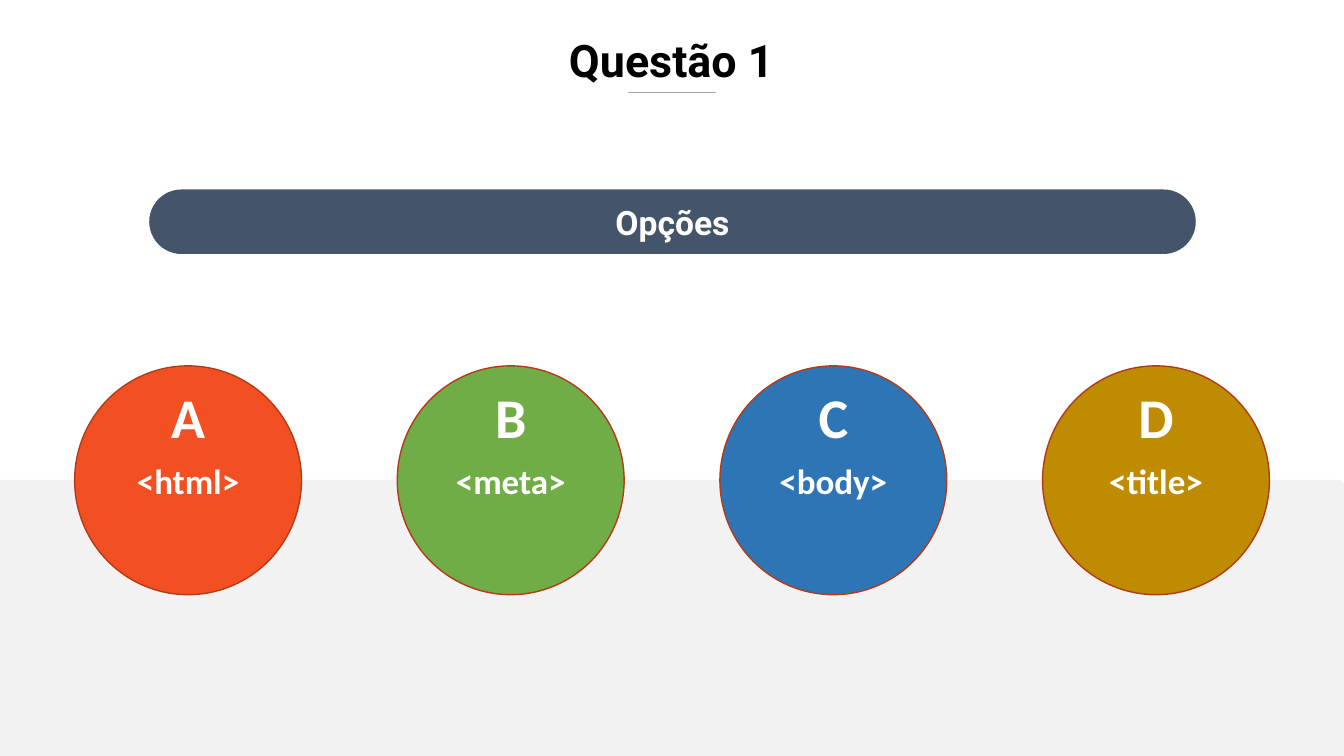
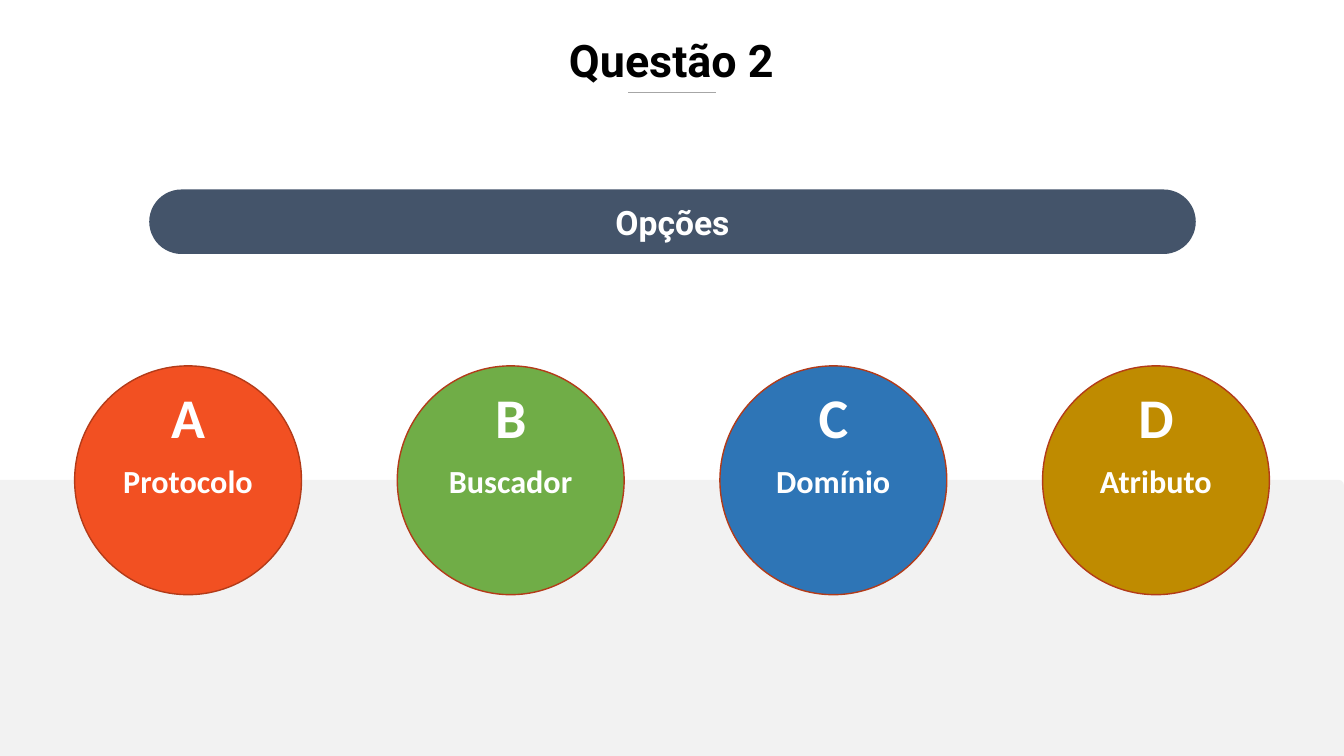
from lxml.etree import SubElement
from pptx import Presentation
from pptx.dml.color import RGBColor
from pptx.enum.shapes import MSO_CONNECTOR as Connector, MSO_SHAPE as Shape
from pptx.enum.text import MSO_ANCHOR as Anchor, PP_ALIGN as Align
from pptx.oxml.ns import qn
from pptx.util import Pt

EMU_PER_PX = 9144
SLIDE_WIDTH, SLIDE_HEIGHT = 1333, 750

BLACK = RGBColor(0x00, 0x00, 0x00)
WHITE = RGBColor(0xFF, 0xFF, 0xFF)
PANEL_GREY = RGBColor(0xF2, 0xF2, 0xF2)
RULE_GREY = RGBColor(0xA6, 0xA6, 0xA6)
SLATE = RGBColor(0x44, 0x54, 0x6A)
RUST = RGBColor(0xB3, 0x3B, 0x19)
ORANGE = RGBColor(0xF2, 0x50, 0x22)
GREEN = RGBColor(0x70, 0xAD, 0x47)
BLUE = RGBColor(0x2E, 0x75, 0xB6)
GOLD = RGBColor(0xBF, 0x8B, 0x00)

TITLE_FONT = {"name": "Roboto", "size": Pt(32), "bold": True}
BANNER_FONT = {"name": "Roboto", "size": Pt(24), "bold": True}
LETTER_FONT = {"name": "Calibri", "size": Pt(40), "bold": True}
ANSWER_FONT = {"name": "Calibri", "bold": True}

CHOICES = [("A", ORANGE), ("B", GREEN), ("C", BLUE), ("D", GOLD)]
CIRCLE_LEFT, CIRCLE_TOP, CIRCLE_PITCH = 74, 363, 320
CIRCLE_WIDTH, CIRCLE_HEIGHT = 225, 227

QUESTIONS = [
    ("Questão 1", ["<html>", "<meta>", "<body>", "<title>"], 25),
    ("Questão 2", ["Protocolo", "Buscador", "Domínio", "Atributo"], 23),
]


def px(*lengths):
    return [length * EMU_PER_PX for length in lengths]


def write(shape, text, font, color, anchor=Anchor.MIDDLE):
    frame = shape.text_frame
    frame.word_wrap = True
    frame.vertical_anchor = anchor
    para = frame.paragraphs[0]
    para.alignment = Align.CENTER
    span = para.add_run()
    span.text = text
    for name, value in font.items():
        setattr(span.font, name, value)
    span.font.color.rgb = color


def add_label(page, place, text, font, color):
    box = page.shapes.add_textbox(*px(*place))
    write(box, text, font, color, Anchor.TOP)


def add_filled(page, kind, place, fill, corner=None, outline=None):
    shape = page.shapes.add_shape(kind, *px(*place))
    shape.shadow.inherit = False
    shape.fill.solid()
    shape.fill.fore_color.rgb = fill
    if corner is not None:
        shape.adjustments[0] = corner
    if outline is None:
        shape.line.fill.background()
    else:
        shape.line.color.rgb = outline
        shape.line.width = Pt(1)
    return shape


def add_rule(page, left, right, top):
    rule = page.shapes.add_connector(Connector.STRAIGHT, *px(left, top, right, top))
    rule.line.color.rgb = RULE_GREY
    rule.line.width = Pt(0.5)
    SubElement(rule._element.spPr, qn("a:effectLst"))


def add_frame(page, title):
    add_label(page, (333, 28, 666, 64), title, TITLE_FONT, BLACK)
    add_filled(page, Shape.ROUND_1_RECTANGLE, (0, 476, SLIDE_WIDTH, 274), PANEL_GREY, corner=0.02)
    banner = add_filled(page, Shape.ROUNDED_RECTANGLE, (148, 188, 1038, 64), SLATE, corner=0.5)
    write(banner, "Opções", BANNER_FONT, WHITE)
    add_rule(page, 623, 710, 92)


def add_choice(page, index, answer, size):
    letter, fill = CHOICES[index]
    left = CIRCLE_LEFT + index * CIRCLE_PITCH
    place = (left, CIRCLE_TOP, CIRCLE_WIDTH, CIRCLE_HEIGHT)
    circle = add_filled(page, Shape.OVAL, place, fill, outline=RUST)
    write(circle, answer, {**ANSWER_FONT, "size": Pt(size)}, WHITE)
    add_label(page, (left, CIRCLE_TOP + 12, CIRCLE_WIDTH, 77), letter, LETTER_FONT, WHITE)


def main():
    deck = Presentation()
    deck.slide_width, deck.slide_height = px(SLIDE_WIDTH, SLIDE_HEIGHT)
    blank = deck.slide_layouts[6]
    for title, answers, size in QUESTIONS:
        page = deck.slides.add_slide(blank)
        add_frame(page, title)
        for index, answer in enumerate(answers):
            add_choice(page, index, answer, size)
    deck.save("out.pptx")


if __name__ == "__main__":
    main()
